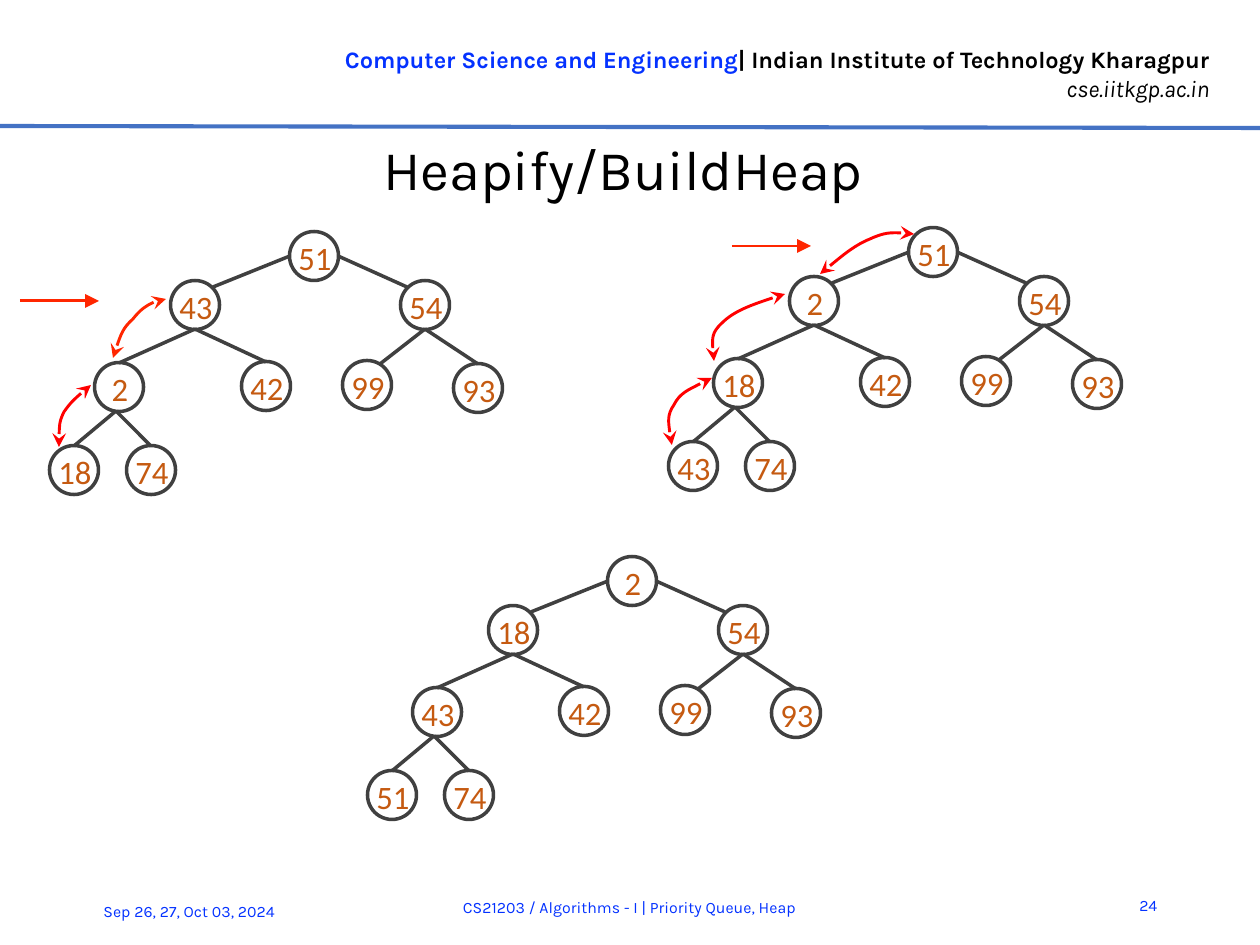
from dataclasses import dataclass

from pptx import Presentation
from pptx.dml.color import RGBColor
from pptx.enum.shapes import MSO_CONNECTOR, MSO_SHAPE
from pptx.enum.text import MSO_ANCHOR, MSO_AUTO_SIZE, PP_ALIGN
from pptx.oxml.ns import qn
from pptx.oxml.xmlchemy import OxmlElement
from pptx.util import Emu, Pt

STRAIGHT, OVAL = MSO_CONNECTOR.STRAIGHT, MSO_SHAPE.OVAL
LEFT, CENTER, RIGHT = PP_ALIGN.LEFT, PP_ALIGN.CENTER, PP_ALIGN.RIGHT
ANCHOR_TOP, ANCHOR_MIDDLE = MSO_ANCHOR.TOP, MSO_ANCHOR.MIDDLE
FIXED_SIZE = MSO_AUTO_SIZE.NONE
TITLE_ONLY = 5


@dataclass(frozen=True)
class Theme:
    text_font: str = "Karla"
    node_font: str = "Calibri"
    black: str = "000000"
    blue: str = "0432FF"
    rule: str = "4472C4"
    node_line: str = "404040"
    node_text: str = "C55A11"
    orange_red: str = "FF2600"
    red: str = "FF0000"
    title_size: float = 24
    header_size: float = 10.1
    footer_size: float = 6.8
    node_size: float = 14
    rule_width: float = 1.75
    node_width: float = 1.5
    arrow_width: float = 1.25


THEME = Theme()
EMU_PER_PX = 914400 / 168
PAGE_SIZE = (1260, 945)

TITLE = "Heapify/BuildHeap"
TITLE_BOX = (40, 133, 1166, 69)
HEADER_BOX = (321, 37, 905, 74)
HEADER = [
    [("Computer Science and Engineering", {"bold": True}, THEME.blue),
     ("| Indian Institute of Technology Kharagpur", {"bold": True}, THEME.black)],
    [("cse.iitkgp.ac.in", {"italic": True}, THEME.black)],
]
HEADER_RULE = ((0, 126), (1260, 128))
FOOTERS = [
    ("Sep 26, 27, Oct 03, 2024", (87, 886, 220, 50), LEFT),
    ("CS21203 / Algorithms - I | Priority Queue, Heap", (208, 882, 843, 50), CENTER),
    ("24", (1112, 880, 62, 50), RIGHT),
]

# Root centre and keys in level order; every tree has the same outline.
TREES = [
    ((314, 256), (51, 43, 54, 2, 42, 99, 93, 18, 74)),
    ((933, 252), (51, 2, 54, 18, 42, 99, 93, 43, 74)),
    ((632, 581), (2, 18, 54, 43, 42, 99, 93, 51, 74)),
]
NODE_DIAMETER = 49
NODE_OFFSETS = [(0, 0), (-119, 49), (111, 49), (-195, 131), (-48, 130),
                (53, 129), (164, 132), (-240, 214), (-163, 214)]

# Where an edge touches a node, measured from the node's centre.
TOP, BOTTOM = (0, -24), (0, 24)
EDGES = [
    (0, (-24, 0), 1, (18, -18)), (0, (24, 0), 2, (-18, -18)),
    (1, BOTTOM, 3, TOP), (1, BOTTOM, 4, TOP),
    (2, BOTTOM, 5, (13, -21)), (2, BOTTOM, 6, TOP),
    (3, (-3, 24), 7, TOP), (3, (-3, 24), 8, TOP),
]

STEP_ARROWS = [((20, 301), (99, 301)), ((732, 246), (811, 246))]
# Start point, then three Bezier points for each curve section.
SWAP_ARROWS = [
    (THEME.orange_red, [(166, 299), (155, 299), (141, 309), (133, 319),
                        (123, 328), (119, 339), (113, 358)]),
    (THEME.red, [(91, 385), (81, 393), (71, 402), (64, 412),
                 (59, 422), (59, 435), (59, 447)]),
    (THEME.red, [(820, 274), (838, 259), (855, 245), (870, 239),
                 (885, 232), (900, 232), (914, 234)]),
    (THEME.red, [(785, 294), (759, 302), (734, 311), (722, 323),
                 (711, 333), (712, 348), (714, 361)]),
    (THEME.red, [(712, 378), (696, 386), (680, 393), (674, 405),
                 (667, 415), (669, 430), (672, 445)]),
]


def px(*lengths):
    return [Emu(round(length * EMU_PER_PX)) for length in lengths]


def shift(point, offset):
    return point[0] + offset[0], point[1] + offset[1]


def set_all(target, **values):
    for name, value in values.items():
        setattr(target, name, value)


def write_span(para, text, font, size, color, **style):
    span = para.add_run()
    span.text = text
    set_all(span.font, name=font, size=Pt(size), **style)
    span.font.color.rgb = RGBColor.from_string(color)


def set_line(shape, color, width, **ends):
    """Style a line; ends maps headEnd or tailEnd to an arrowhead type."""
    shape.line.color.rgb = RGBColor.from_string(color)
    shape.line.width = Pt(width)
    outline = shape.element.spPr.find(qn("a:ln"))
    for tag in ("headEnd", "tailEnd"):
        if tag in ends:
            end = OxmlElement(f"a:{tag}")
            end.set("type", ends[tag])
            outline.append(end)


def add_line(shapes, start, finish, color, width, **ends):
    line = shapes.add_connector(STRAIGHT, *px(*start, *finish))
    set_line(line, color, width, **ends)
    line.element.spPr.append(OxmlElement("a:effectLst"))


def add_text(shapes, bounds, paragraphs, size, align, anchor):
    frame = shapes.add_textbox(*px(*bounds)).text_frame
    set_all(frame, word_wrap=True, vertical_anchor=anchor)
    for index, spans in enumerate(paragraphs):
        para = frame.add_paragraph() if index else frame.paragraphs[0]
        para.alignment = align
        for text, style, color in spans:
            write_span(para, text, THEME.text_font, size, color, **style)


def add_title(page):
    title = page.shapes.title
    left, top, width, height = px(*TITLE_BOX)
    set_all(title, left=left, top=top, width=width, height=height)
    frame = title.text_frame
    set_all(frame, margin_left=0, margin_right=0, margin_top=px(2)[0], margin_bottom=0,
            vertical_anchor=ANCHOR_MIDDLE, auto_size=FIXED_SIZE, word_wrap=True)
    para = frame.paragraphs[0]
    para.alignment = CENTER
    write_span(para, TITLE, THEME.text_font, THEME.title_size, THEME.black)


def add_node(shapes, center, key):
    corner = shift(center, (-NODE_DIAMETER / 2, -NODE_DIAMETER / 2))
    node = shapes.add_shape(OVAL, *px(*corner, NODE_DIAMETER, NODE_DIAMETER))
    node.shadow.inherit = False
    node.fill.background()
    set_line(node, THEME.node_line, THEME.node_width)
    frame = node.text_frame
    inset = px(2)[0]
    set_all(frame, margin_left=inset, margin_top=inset, margin_right=0, margin_bottom=0,
            word_wrap=False, vertical_anchor=ANCHOR_MIDDLE)
    para = frame.paragraphs[0]
    para.alignment = CENTER
    write_span(para, str(key), THEME.node_font, THEME.node_size, THEME.node_text)


def add_tree(page, root, keys):
    shapes = page.shapes.add_group_shape().shapes
    centers = [shift(root, offset) for offset in NODE_OFFSETS]
    for center, key in zip(centers, keys):
        add_node(shapes, center, key)
    for parent, leave, child, arrive in EDGES:
        add_line(shapes, shift(centers[parent], leave), shift(centers[child], arrive),
                 THEME.node_line, THEME.node_width)


def add_swap_arrow(page, color, points):
    """Draw a double-headed curve, joining each three points into one Bezier section."""
    builder = page.shapes.build_freeform(*points[0], scale=EMU_PER_PX)
    builder.add_line_segments(points[1:], close=False)
    curve = builder.convert_to_shape()
    outline = curve.element.spPr.find(".//" + qn("a:path"))
    segments = outline.findall(qn("a:lnTo"))
    for first in range(0, len(segments), 3):
        section = OxmlElement("a:cubicBezTo")
        for segment in segments[first:first + 3]:
            section.append(segment[0])
            outline.remove(segment)
        outline.append(section)
    curve.shadow.inherit = False
    curve.fill.background()
    set_line(curve, color, THEME.arrow_width, headEnd="stealth", tailEnd="stealth")


def main():
    deck = Presentation()
    deck.slide_width, deck.slide_height = px(*PAGE_SIZE)
    page = deck.slides.add_slide(deck.slide_layouts[TITLE_ONLY])
    add_text(page.shapes, HEADER_BOX, HEADER, THEME.header_size, RIGHT, ANCHOR_TOP)
    add_line(page.shapes, *HEADER_RULE, THEME.rule, THEME.rule_width)
    add_title(page)
    for text, bounds, align in FOOTERS:
        add_text(page.shapes, bounds, [[(text, {}, THEME.blue)]],
                 THEME.footer_size, align, ANCHOR_MIDDLE)
    for root, keys in TREES:
        add_tree(page, root, keys)
    for start, finish in STEP_ARROWS:
        add_line(page.shapes, start, finish, THEME.orange_red, THEME.arrow_width,
                 tailEnd="triangle")
    for color, points in SWAP_ARROWS:
        add_swap_arrow(page, color, points)
    deck.save("out.pptx")


if __name__ == "__main__":
    main()
